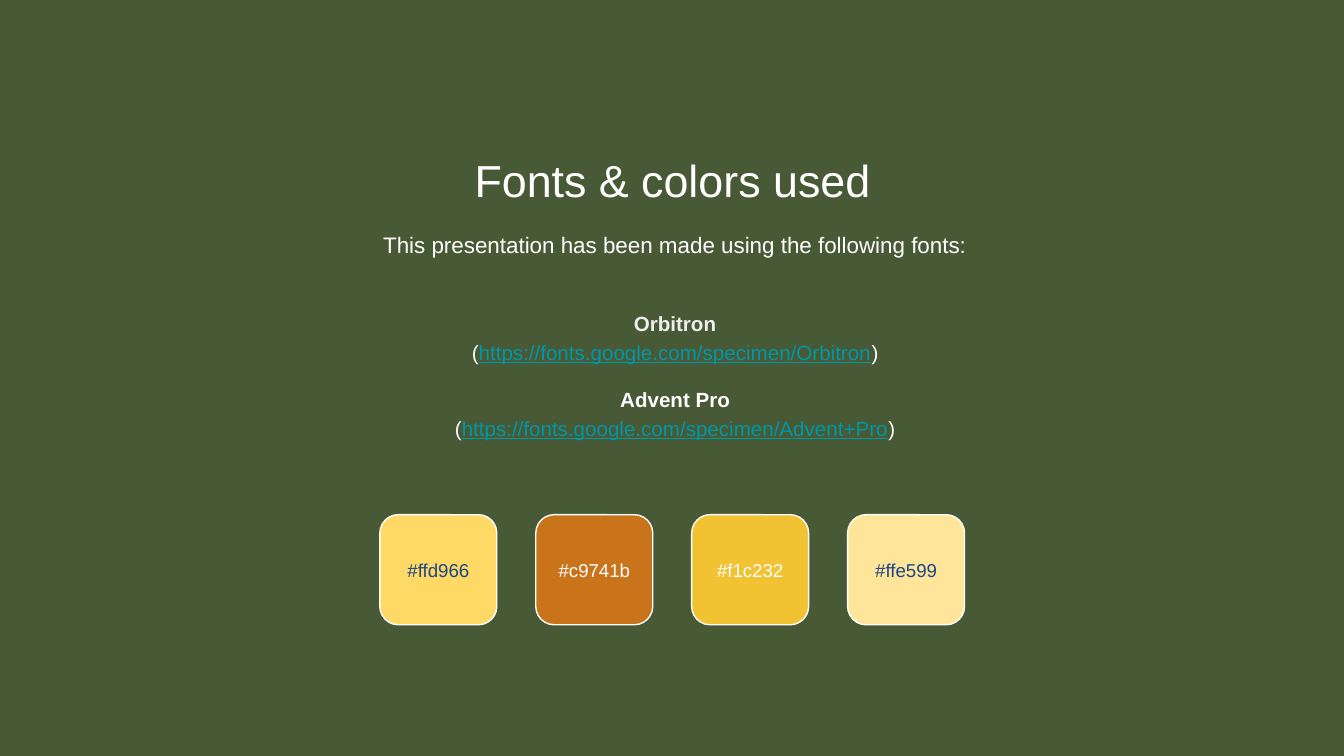
from pptx import Presentation
from pptx.dml.color import RGBColor
from pptx.enum.shapes import MSO_SHAPE
from pptx.enum.text import MSO_ANCHOR, PP_ALIGN
from pptx.util import Cm, Pt

ROUND = MSO_SHAPE.ROUNDED_RECTANGLE
TOP, MIDDLE = MSO_ANCHOR.TOP, MSO_ANCHOR.MIDDLE
CENTER = PP_ALIGN.CENTER

COLORS = {
    "back": "485935",
    "white": "FFFFFF",
    "pale": "EFEFEF",
    "link": "0097A7",
    "navy": "1C4587",
}
FONTS = [
    ("Orbitron", "https://fonts.google.com/specimen/Orbitron", "pale"),
    ("Advent Pro", "https://fonts.google.com/specimen/Advent+Pro", "white"),
]
SWATCHES = [
    ("#ffd966", "navy"),
    ("#c9741b", "white"),
    ("#f1c232", "white"),
    ("#ffe599", "navy"),
]


def rgb(name):
    return RGBColor.from_string(COLORS[name])


def add_frame(slide, box, anchor=TOP):
    """Add an empty text box and return its text frame."""
    frame = slide.shapes.add_textbox(*map(Cm, box)).text_frame
    frame.word_wrap = True
    frame.vertical_anchor = anchor
    frame.margin_left = frame.margin_right = Cm(0.25)
    frame.margin_top = frame.margin_bottom = Cm(0.25)
    return frame


def style(run, size, color, bold=False, line=False):
    font = run.font
    font.name, font.size = "Arial", Pt(size)
    font.bold, font.underline = bold, line
    font.color.rgb = rgb(color)


def add_line(slide, box, text, size, color="white", anchor=TOP, space=1.0):
    """Add a text box with one centred line."""
    para = add_frame(slide, box, anchor).paragraphs[0]
    para.text = text
    para.alignment = CENTER
    para.line_spacing = space
    style(para.runs[0], size, color)


def add_fonts(slide, box):
    frame = add_frame(slide, box, MIDDLE)
    for i, (name, link, color) in enumerate(FONTS):
        head = frame.add_paragraph() if i else frame.paragraphs[0]
        head.text = name
        style(head.runs[0], 11, color, bold=True)
        if i:
            head.space_before = Pt(10.5)
        site = frame.add_paragraph()
        for text in ("(", link, ")"):
            run = site.add_run()
            run.text = text
            is_link = text == link
            style(run, 11, "link" if is_link else "white", line=is_link)
        for para in (head, site):
            para.alignment = CENTER
            para.line_spacing = 1.15


def add_swatches(slide, box):
    """Spread the colour tiles evenly over the box, each with its code."""
    left, top, width, height = box
    tile, label = 2.21, 1.22
    step = (width - tile) / (len(SWATCHES) - 1)
    for i, (code, color) in enumerate(SWATCHES):
        x = left + i * step
        shape = slide.shapes.add_shape(ROUND, Cm(x), Cm(top), Cm(tile), Cm(height))
        shape.shadow.inherit = False
        shape.fill.solid()
        shape.fill.fore_color.rgb = RGBColor.from_string(code[1:].upper())
        shape.line.color.rgb = rgb("white")
        shape.line.width = Pt(0.75)
        y = top + (height - label) / 2
        add_line(slide, (x, y, tile, label), code, 10, color, MIDDLE)


def main():
    deck = Presentation()
    deck.slide_width, deck.slide_height = Cm(25.4), Cm(14.29)
    slide = deck.slides.add_slide(deck.slide_layouts[6])
    slide.background.fill.solid()
    slide.background.fill.fore_color.rgb = rgb("back")

    add_line(slide, (2.92, 2.64, 19.58, 1.35), "Fonts & colors used", 24)
    add_line(slide, (2.97, 4.04, 19.58, 1.22),
             "This presentation has been made using the following fonts:",
             12, space=1.15)
    add_fonts(slide, (2.97, 5.33, 19.58, 3.48))
    add_swatches(slide, (7.18, 9.73, 11.05, 2.08))
    deck.save("out.pptx")


if __name__ == "__main__":
    main()
